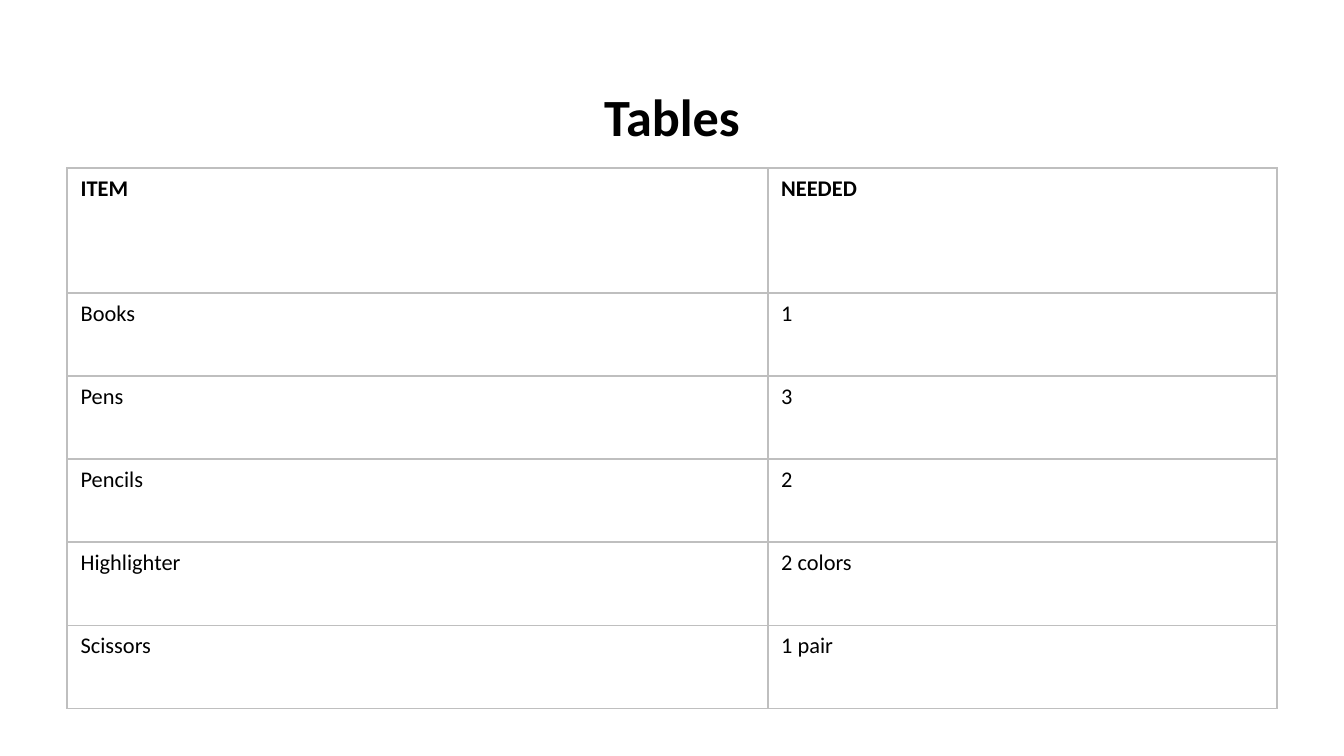
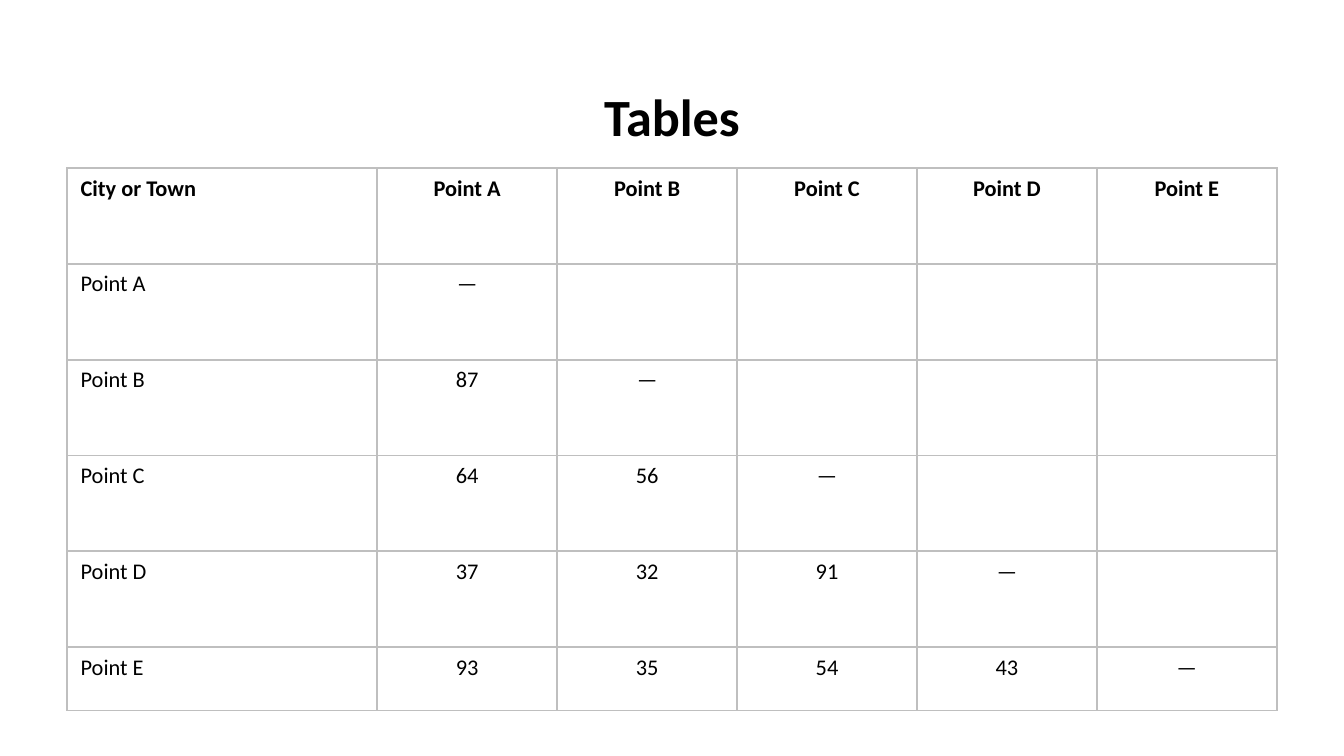
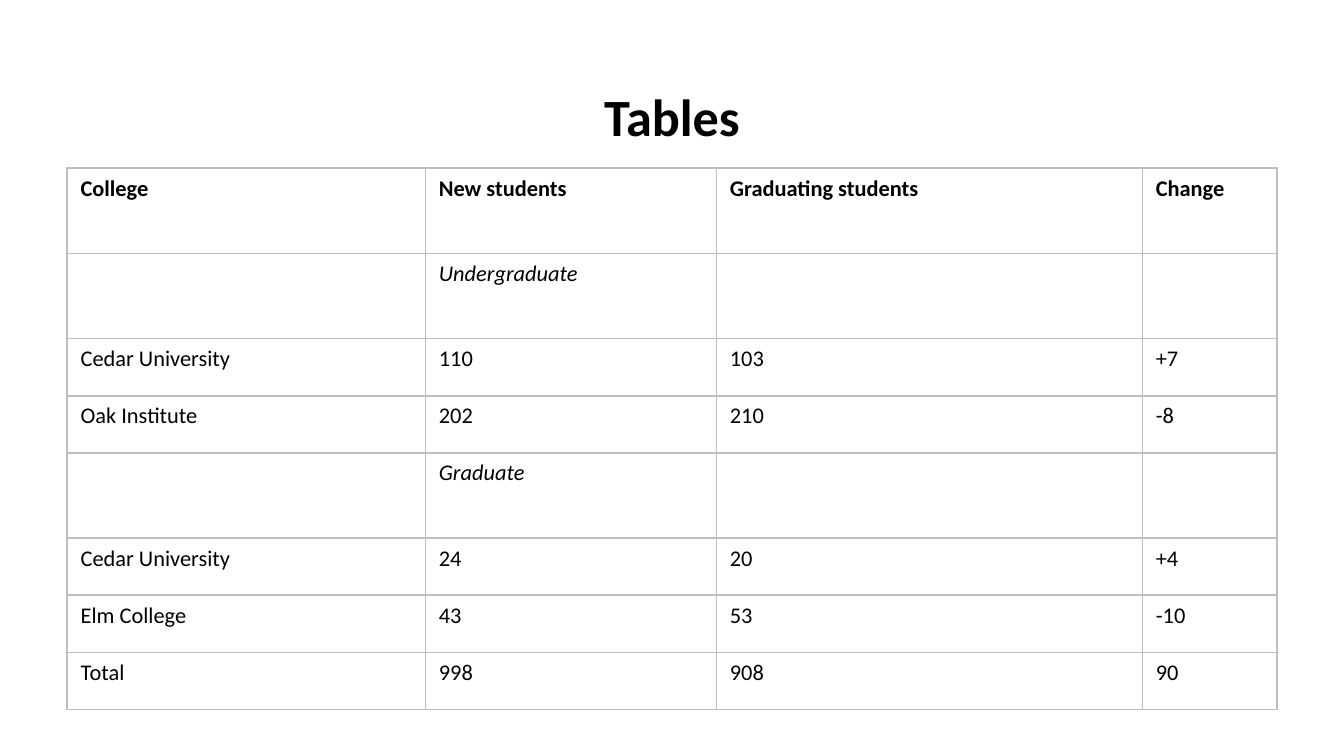
from lxml import etree
from pptx import Presentation
from pptx.dml.color import RGBColor
from pptx.enum import text
from pptx.oxml import ns
from pptx.util import Cm, Pt

BLACK = RGBColor(0x00, 0x00, 0x00)
GRAY = RGBColor(0xBF, 0xBF, 0xBF)
FONT = "Calibri"
LEFT, WIDTH = Cm(1.27), Cm(22.86)
TITLE_TOP, TITLE_HEIGHT = Cm(0.79), Cm(1.98)
TABLE_TOP = Cm(3.18)
BORDER = Pt(1)


def style_font(font, size, bold, italic=False):
    font.name = FONT
    font.size = Pt(size)
    font.bold = bold
    font.italic = italic
    font.color.rgb = BLACK


def frame_cell(cell):
    """Draw a gray line on all four sides and leave the cell unfilled."""
    properties = cell._tc.get_or_add_tcPr()
    for side in ("a:lnL", "a:lnR", "a:lnT", "a:lnB"):
        line = etree.SubElement(properties, ns.qn(side), w=str(BORDER))
        fill = etree.SubElement(line, ns.qn("a:solidFill"))
        etree.SubElement(fill, ns.qn("a:srgbClr"), val=str(GRAY))
    cell.fill.background()


# Widths and heights are in centimetres; short rows end in empty cells.
tables = [
    {
        "widths": [13.24, 9.62],
        "heights": [2.36] + [1.57] * 5,
        "centered": False,
        "rows": [
            ["ITEM", "NEEDED"],
            ["Books", "1"],
            ["Pens", "3"],
            ["Pencils", "2"],
            ["Highlighter", "2 colors"],
            ["Scissors", "1 pair"],
        ],
    },
    {
        "widths": [5.86] + [3.4] * 5,
        "heights": [1.81] * 5 + [1.2],
        "centered": True,
        "rows": [
            ["City or Town", "Point A", "Point B", "Point C", "Point D", "Point E"],
            ["Point A", "—"],
            ["Point B", "87", "—"],
            ["Point C", "64", "56", "—"],
            ["Point D", "37", "32", "91", "—"],
            ["Point E", "93", "35", "54", "43", "—"],
        ],
    },
    {
        "widths": [6.77, 5.5, 8.05, 2.54],
        "heights": [1.61, 1.61, 1.08, 1.08, 1.61, 1.08, 1.08, 1.08],
        "centered": False,
        "rows": [
            ["College", "New students", "Graduating students", "Change"],
            ["", "Undergraduate"],
            ["Cedar University", "110", "103", "+7"],
            ["Oak Institute", "202", "210", "-8"],
            ["", "Graduate"],
            ["Cedar University", "24", "20", "+4"],
            ["Elm College", "43", "53", "-10"],
            ["Total", "998", "908", "90"],
        ],
    },
]

deck = Presentation()
deck.slide_width, deck.slide_height = Cm(25.4), Cm(14.29)
title_only = deck.slide_layouts[5]

for content in tables:
    page = deck.slides.add_slide(title_only)

    title = page.shapes.title
    title.left, title.top = LEFT, TITLE_TOP
    title.width, title.height = WIDTH, TITLE_HEIGHT
    frame = title.text_frame
    frame.text = "Tables"
    frame.auto_size = text.MSO_AUTO_SIZE.NONE
    frame.vertical_anchor = text.MSO_ANCHOR.BOTTOM
    frame.margin_left = frame.margin_right = frame.margin_top = frame.margin_bottom = 0
    frame.paragraphs[0].alignment = text.PP_ALIGN.CENTER
    style_font(frame.paragraphs[0].runs[0].font, 28, bold=True)

    widths, heights, rows = content["widths"], content["heights"], content["rows"]
    table = page.shapes.add_table(
        len(rows), len(widths), LEFT, TABLE_TOP, WIDTH, Cm(sum(heights))
    ).table
    table.horz_banding = False
    for column, width in zip(table.columns, widths):
        column.width = Cm(width)
    for table_row, height in zip(table.rows, heights):
        table_row.height = Cm(height)
    for cell in table.iter_cells():
        frame_cell(cell)

    for row_number, row in enumerate(rows):
        is_subheading = not row[0]
        for column_number, entry in enumerate(row):
            if not entry:
                continue
            cell = table.cell(row_number, column_number)
            para = cell.text_frame.paragraphs[0]
            para.text = entry
            if content["centered"] and column_number > 0:
                para.alignment = text.PP_ALIGN.CENTER
            style_font(para.runs[0].font, 12, bold=row_number == 0, italic=is_subheading)

deck.save("out.pptx")
